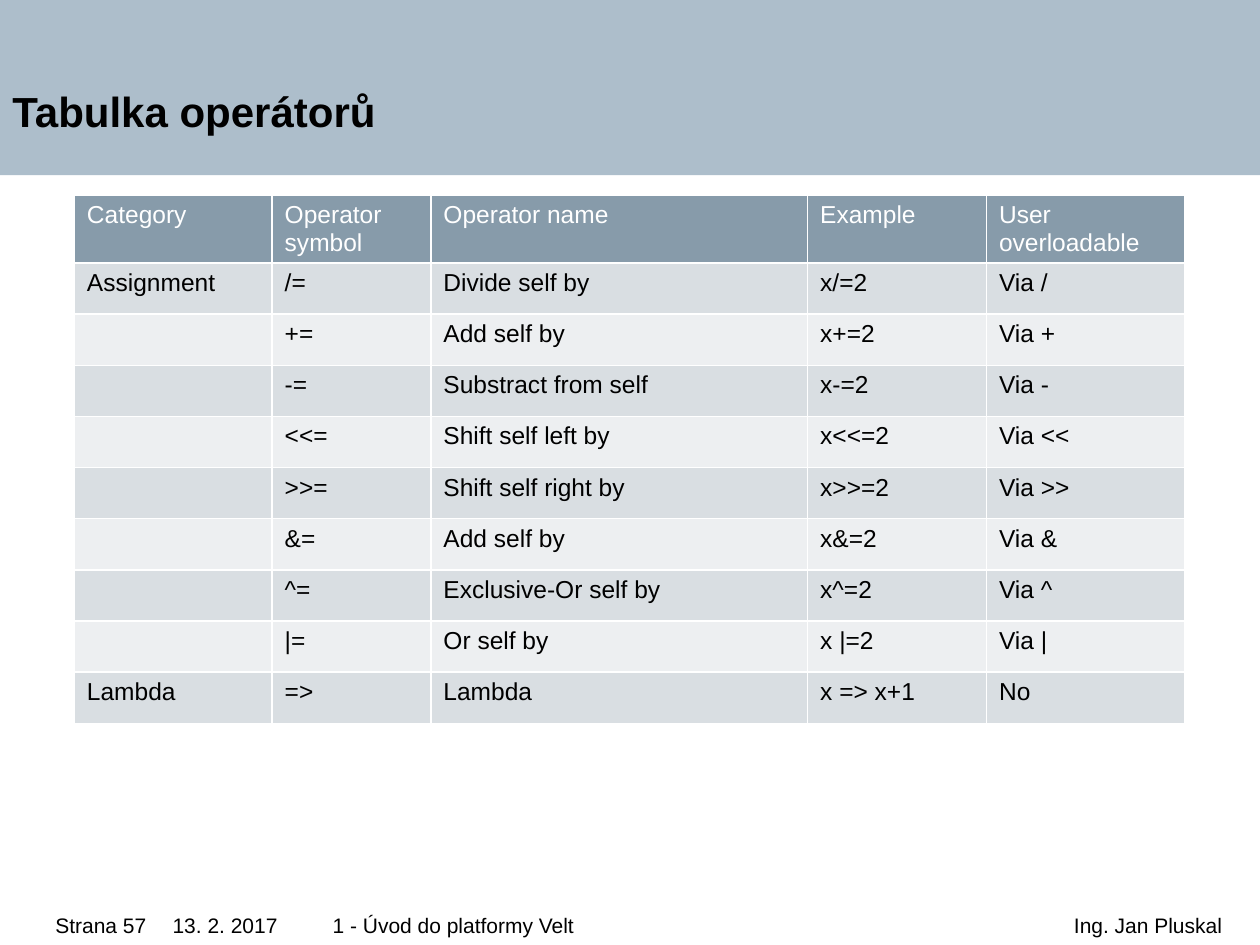
import pptx
import pptx.util
import pptx.dml.color
import pptx.enum.shapes
import pptx.enum.text
import pptx.oxml
import pptx.oxml.ns
from dataclasses import dataclass

Inches, Pt = pptx.util.Inches, pptx.util.Pt
ALIGN = pptx.enum.text.PP_ALIGN
ANCHOR = pptx.enum.text.MSO_ANCHOR


@dataclass(frozen=True)
class Theme:
    font: str = "Arial"
    text: str = "000000"
    light: str = "FFFFFF"
    band: str = "ADBECB"
    header: str = "879BAA"
    stripes: tuple = ("D9DEE2", "EDEFF1")
    title_size: int = 24
    table_size: int = 14
    footer_size: int = 12
    border: int = 1


THEME = Theme()

# Content
TITLE = "Tabulka operátorů"
HEADER = ("Category", "Operator symbol", "Operator name", "Example", "User overloadable")
OPERATORS = [
    ("Assignment", "/=", "Divide self by", "x/=2", "Via /"),
    ("", "+=", "Add self by", "x+=2", "Via +"),
    ("", "-=", "Substract from self", "x-=2", "Via -"),
    ("", "<<=", "Shift self left by", "x<<=2", "Via <<"),
    ("", ">>=", "Shift self right by", "x>>=2", "Via >>"),
    ("", "&=", "Add self by", "x&=2", "Via &"),
    ("", "^=", "Exclusive-Or self by", "x^=2", "Via ^"),
    ("", "|=", "Or self by", "x |=2", "Via |"),
    ("Lambda", "=>", "Lambda", "x => x+1", "No"),
]
COLUMN_WIDTHS = (1.57, 1.26, 2.99, 1.42, 1.57)
TABLE_HEIGHT = 4.06
CELL_BOTTOM = 0.02
# Footer: text, left, width, left inset, right inset, alignment
FOOTERS = [
    ("13. 2. 2017", 0.16, 2.79, 1.21, 0, ALIGN.LEFT),
    ("Strana 57", 0, 1.37, 0.44, 0, ALIGN.LEFT),
    ("Ing. Jan Pluskal", 2.95, 7.05, 0, 0.3, ALIGN.RIGHT),
    ("1 - Úvod do platformy Velt", 2.64, 3.58, 0, 0.3, ALIGN.LEFT),
]


def rgb(color):
    return pptx.dml.color.RGBColor.from_string(color)


def paint(item, color):
    item.fill.solid()
    item.fill.fore_color.rgb = rgb(color)


def write(para, text, size, color=THEME.text, bold=False):
    span = para.add_run()
    span.text = text
    span.font.name = THEME.font
    span.font.size = Pt(size)
    span.font.bold = bold
    span.font.color.rgb = rgb(color)


def add_text(page, place, insets, text, size, bold=False,
             align=ALIGN.LEFT, anchor=ANCHOR.TOP, spacing=1.0):
    box = page.shapes.add_textbox(*map(Inches, place))
    frame = box.text_frame
    frame.word_wrap = True
    frame.vertical_anchor = anchor
    (frame.margin_left, frame.margin_top,
     frame.margin_right, frame.margin_bottom) = map(Inches, insets)
    para = frame.paragraphs[0]
    para.alignment = align
    para.line_spacing = spacing
    write(para, text, size, bold=bold)


def add_borders(cell):
    properties = cell._tc.get_or_add_tcPr()
    for position, side in enumerate(("lnL", "lnR", "lnT", "lnB")):
        properties.insert(position, pptx.oxml.parse_xml(
            f'<a:{side} {pptx.oxml.ns.nsdecls("a")} w="{Pt(THEME.border)}">'
            f'<a:solidFill><a:srgbClr val="{THEME.light}"/></a:solidFill></a:{side}>'))


def add_operator_table(page):
    rows = [HEADER, *OPERATORS]
    table = page.shapes.add_table(
        len(rows), len(HEADER), Inches(0.59), Inches(1.55),
        Inches(sum(COLUMN_WIDTHS)), Inches(TABLE_HEIGHT)).table
    for column, width in zip(table.columns, COLUMN_WIDTHS):
        column.width = Inches(width)
    for index, values in enumerate(rows):
        table.rows[index].height = Inches(TABLE_HEIGHT / len(rows))
        fill = THEME.stripes[(index - 1) % 2] if index else THEME.header
        color = THEME.text if index else THEME.light
        for cell, value in zip(table.rows[index].cells, values):
            paint(cell, fill)
            add_borders(cell)
            cell.margin_bottom = Inches(CELL_BOTTOM)
            if value:
                write(cell.text_frame.paragraphs[0], value, THEME.table_size, color)


def main():
    deck = pptx.Presentation()
    deck.slide_width, deck.slide_height = Inches(10), Inches(7.5)
    page = deck.slides.add_slide(deck.slide_layouts[6])

    # Title band
    band = page.shapes.add_shape(pptx.enum.shapes.MSO_SHAPE.RECTANGLE,
                                 0, 0, deck.slide_width, Inches(1.39))
    band.shadow.inherit = False
    paint(band, THEME.band)
    band.line.fill.background()

    # Footer
    for text, left, width, inset_left, inset_right, align in FOOTERS:
        add_text(page, (left, 7.22, width, 0.28), (inset_left, 0, inset_right, 0.09),
                 text, THEME.footer_size, align=align, spacing=1.1)

    # Title and table
    add_text(page, (0, 0, 6.55, 1.38), (0.1, 0.1, 0.8, 0.3), TITLE,
             THEME.title_size, bold=True, anchor=ANCHOR.BOTTOM)
    add_operator_table(page)
    deck.save("out.pptx")


if __name__ == "__main__":
    main()
